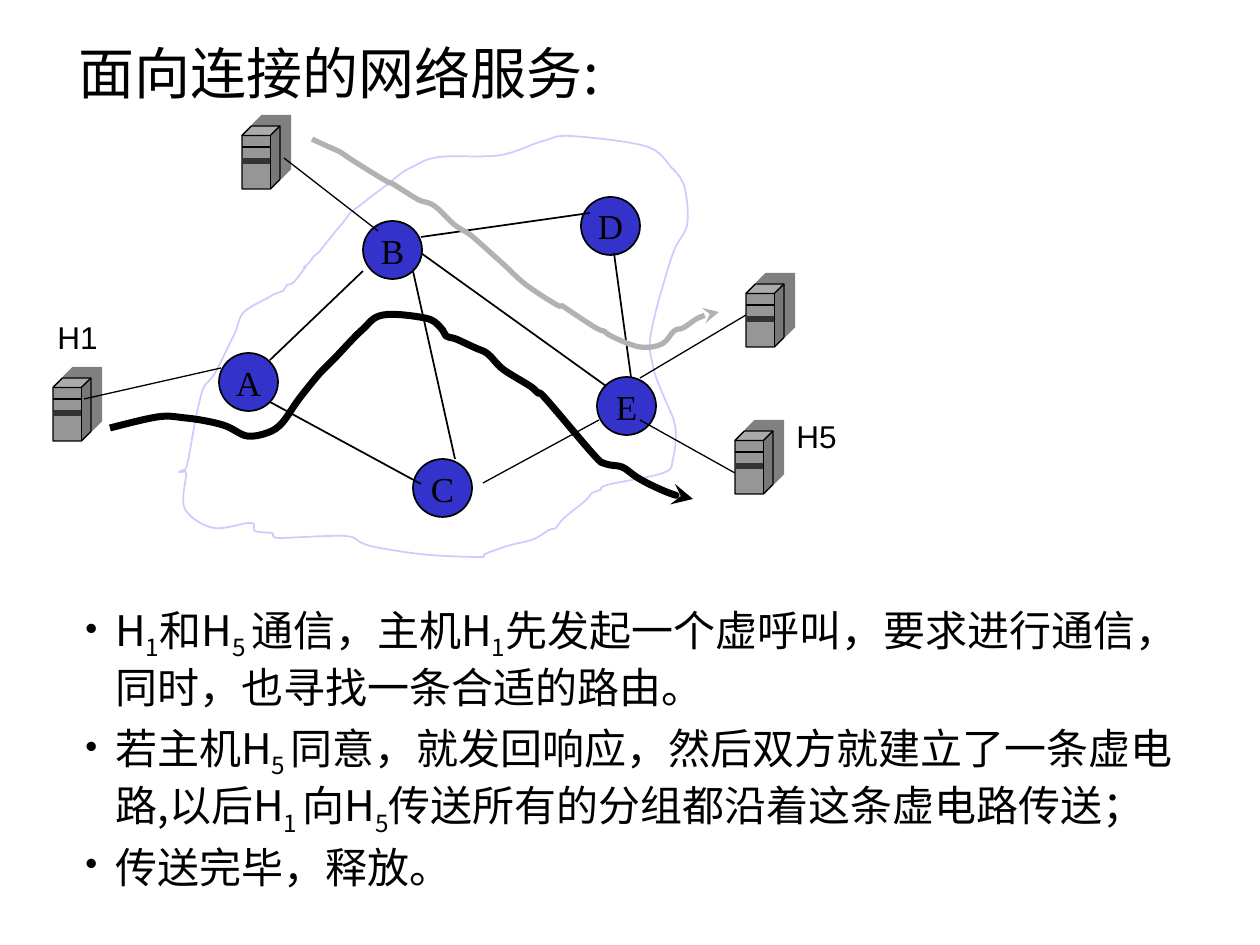
"""Build a slide on connection-oriented network service with a virtual circuit diagram."""
from lxml import etree
from pptx import Presentation
from pptx import util as u
from pptx.dml.color import RGBColor
from pptx.enum import shapes, text
from pptx.oxml import ns

PX = 914400 / 126
BLACK = RGBColor(0x00, 0x00, 0x00)
NODE_BLUE = RGBColor(0x33, 0x33, 0xCC)
CLOUD_LILAC = RGBColor(0xCC, 0xCC, 0xFF)
HOST_GREY = RGBColor(0x96, 0x96, 0x96)
SLOT_GREY = RGBColor(0x33, 0x33, 0x33)
SHADOW_GREY = RGBColor(0x80, 0x80, 0x80)
ROUTE_GREY = RGBColor(0xB2, 0xB2, 0xB2)
CJK, LATIN, SERIF = "Noto Sans CJK SC", "Arial", "Times New Roman"

TITLE = "面向连接的网络服务:"
BULLETS = [
    [("H", 0), ("1", 1), ("和H", 0), ("5 ", 1), ("通信，主机H", 0), ("1", 1),
     ("先发起一个虚呼叫，要求进行通信，同时，也寻找一条合适的路由。", 0)],
    [("若主机H", 0), ("5 ", 1), ("同意，就发回响应，然后双方就建立了一条虚电路,以后H", 0),
     ("1 ", 1), ("向H", 0), ("5", 1), ("传送所有的分组都沿着这条虚电路传送；", 0)],
    [("传送完毕，释放。", 0)],
]
NODES = {"A": (219, 353), "B": (363, 221), "C": (413, 459), "D": (581, 197), "E": (597, 377)}
NODE_SIZE = (59, 58)
HOSTS = [(53, 378), (735, 431), (746, 284), (242, 126)]
HOST_SIZE = (38, 63)
HOST_FRONT = 28
HOST_BANDS = [(21, BLACK, 0.75), (35, SLOT_GREY, 3)]
HOST_LABELS = {"H1": (42, 312), "H5": (781, 411)}
NODE_LINKS = [
    (270, 402, 421, 484), (270, 360, 363, 271), (413, 271, 455, 459),
    (421, 237, 590, 213), (614, 253, 631, 377), (421, 253, 606, 386),
]
ACCESS_LINKS = [
    (84, 399, 221, 368), (640, 420, 735, 473), (640, 378, 746, 315),
    (284, 158, 378, 231), (483, 483, 599, 420),
]
CLOUD = [
    (179, 472), (185, 470), (189, 456), (198, 408), (204, 387), (215, 373), (234, 335),
    (244, 312), (271, 296), (283, 291), (287, 285), (294, 282), (305, 268), (304, 267),
    (309, 263), (314, 256), (320, 251), (335, 232), (345, 220), (350, 213), (363, 203),
    (388, 184), (410, 168), (439, 157), (501, 155), (543, 141), (571, 136), (645, 146),
    (672, 168), (685, 189), (687, 225), (672, 256), (651, 333), (653, 366), (664, 397),
    (675, 425), (673, 459), (663, 473), (607, 485), (600, 490), (592, 493), (587, 499),
    (575, 509), (562, 520), (556, 528), (549, 530), (534, 539), (504, 547), (485, 554),
    (479, 557), (420, 554), (375, 547), (360, 542), (345, 536), (280, 538), (272, 533),
    (255, 531), (251, 523), (214, 528), (185, 509), (186, 473), (179, 472),
]
VIRTUAL_CIRCUIT = [
    (110, 428), (157, 417), (186, 418), (223, 425), (247, 436), (267, 433), (283, 422),
    (299, 399), (320, 373), (334, 359), (362, 330), (383, 315), (425, 318), (441, 328),
    (446, 336), (456, 339), (478, 349), (488, 354), (504, 370), (530, 386), (538, 393),
    (546, 399), (593, 454), (606, 464), (622, 467), (638, 478), (672, 494), (693, 499),
]
SECOND_ROUTE = [
    (312, 139), (336, 150), (352, 160), (386, 181), (393, 184), (417, 199), (433, 205),
    (456, 226), (473, 237), (501, 262), (525, 284), (557, 305), (564, 307), (596, 328),
    (604, 331), (611, 336), (640, 347), (662, 344), (674, 331), (683, 328), (698, 318),
    (706, 315), (719, 312),
]


def px(*values):
    return [u.Emu(round(value * PX)) for value in values]


def add_element(parent, tag, **attributes):
    values = {name: str(value) for name, value in attributes.items()}
    return etree.SubElement(parent, ns.qn(tag), values)


def set_line(shape, color, width):
    shape.line.color.rgb = color
    shape.line.width = u.Pt(width)


def add_run(paragraph, words, font, size, subscript=False):
    run = paragraph.add_run()
    run.text = words
    run.font.name, run.font.size = font, u.Pt(size)
    run.font.color.rgb = BLACK
    properties = run.font._element
    add_element(properties, "a:ea", typeface=font)
    if subscript:
        properties.set("baseline", "-25000")


def add_line(slide, ends, color, width):
    line = slide.shapes.add_connector(shapes.MSO_CONNECTOR.STRAIGHT, *px(*ends))
    set_line(line, color, width)
    add_element(line._element.spPr, "a:effectLst")


def add_solid(slide, kind, position, size, fill, width):
    shape = slide.shapes.add_shape(kind, *px(*position, *size))
    shape.shadow.inherit = False
    shape.fill.solid()
    shape.fill.fore_color.rgb = fill
    set_line(shape, BLACK, width)
    return shape


def add_curve(slide, points, color, width, arrow=False):
    builder = slide.shapes.build_freeform(*points[0], scale=PX)
    builder.add_line_segments(points[1:], close=not arrow)
    curve = builder.convert_to_shape()
    curve.shadow.inherit = False
    curve.fill.background()
    set_line(curve, color, width)
    if arrow:
        add_element(curve.line._get_or_add_ln(), "a:tailEnd", type="stealth")
    geometry = curve._element.spPr
    anchors = [(int(point.get("x")), int(point.get("y"))) for point in geometry.iter(ns.qn("a:pt"))]
    padded = [anchors[0], *anchors, anchors[-1]]
    for index, segment in enumerate(list(geometry.iter(ns.qn("a:lnTo")))):
        before, start, end, after = padded[index:index + 4]
        bend_out = [s + (e - b) / 6 for b, s, e in zip(before, start, end)]
        bend_in = [e - (a - s) / 6 for s, e, a in zip(start, end, after)]
        cubic = etree.Element(ns.qn("a:cubicBezTo"))
        for x, y in (bend_out, bend_in, end):
            add_element(cubic, "a:pt", x=round(x), y=round(y))
        segment.getparent().replace(segment, cubic)


def add_host(slide, position):
    cube = add_solid(slide, shapes.MSO_SHAPE.CUBE, position, HOST_SIZE, HOST_GREY, 0.75)
    effects = cube._element.spPr.find(ns.qn("a:effectLst"))
    shadow = add_element(effects, "a:outerShdw", dist=107950, dir=18900000, rotWithShape=0)
    add_element(shadow, "a:srgbClr", val=SHADOW_GREY)
    left, top = position
    for offset, color, width in HOST_BANDS:
        add_line(slide, (left, top + offset, left + HOST_FRONT, top + offset), color, width)


def add_bullets(slide):
    frame = slide.shapes.add_textbox(*px(73, 598, 1134, 301)).text_frame
    frame.word_wrap = True
    for index, runs in enumerate(BULLETS):
        paragraph = frame.add_paragraph() if index else frame.paragraphs[0]
        properties = paragraph._p.get_or_add_pPr()
        indent = px(30)[0]
        properties.set("marL", str(indent))
        properties.set("indent", str(-indent))
        add_element(add_element(properties, "a:buClr"), "a:srgbClr", val=BLACK)
        add_element(properties, "a:buSzPct", val=85000)
        add_element(properties, "a:buChar", char="•")
        if index:
            paragraph.space_before = u.Pt(6)
        for words, subscript in runs:
            add_run(paragraph, words, CJK, 24, subscript)
    paragraph.line_spacing = 0.9


def main():
    presentation = Presentation()
    presentation.slide_width, presentation.slide_height = u.Inches(10), u.Inches(7.5)
    slide = presentation.slides.add_slide(presentation.slide_layouts[5])
    title = slide.shapes.title
    title.left, title.top, title.width, title.height = px(53, 32, 571, 81)
    frame = title.text_frame
    frame.word_wrap = False
    frame.auto_size = text.MSO_AUTO_SIZE.NONE
    frame.vertical_anchor = text.MSO_ANCHOR.TOP
    frame.paragraphs[0].alignment = text.PP_ALIGN.CENTER
    add_run(frame.paragraphs[0], TITLE, CJK, 32)

    for name, position in NODES.items():
        node = add_solid(slide, shapes.MSO_SHAPE.OVAL, position, NODE_SIZE, NODE_BLUE, 1)
        node.text_frame.word_wrap = False
        node.text_frame.paragraphs[0].alignment = text.PP_ALIGN.CENTER
        add_run(node.text_frame.paragraphs[0], name, SERIF, 20)
    for ends in NODE_LINKS:
        add_line(slide, ends, BLACK, 1)
    add_curve(slide, CLOUD, CLOUD_LILAC, 1)
    for position in HOSTS:
        add_host(slide, position)
    for ends in ACCESS_LINKS:
        add_line(slide, ends, BLACK, 0.75)
    add_curve(slide, VIRTUAL_CIRCUIT, BLACK, 4, arrow=True)
    add_curve(slide, SECOND_ROUTE, ROUTE_GREY, 3, arrow=True)
    add_bullets(slide)
    for name, position in HOST_LABELS.items():
        label = slide.shapes.add_textbox(*px(*position, 71, 50)).text_frame
        label.word_wrap = True
        label.paragraphs[0].alignment = text.PP_ALIGN.CENTER
        add_run(label.paragraphs[0], name, LATIN, 18)
    presentation.save("out.pptx")


if __name__ == "__main__":
    main()
